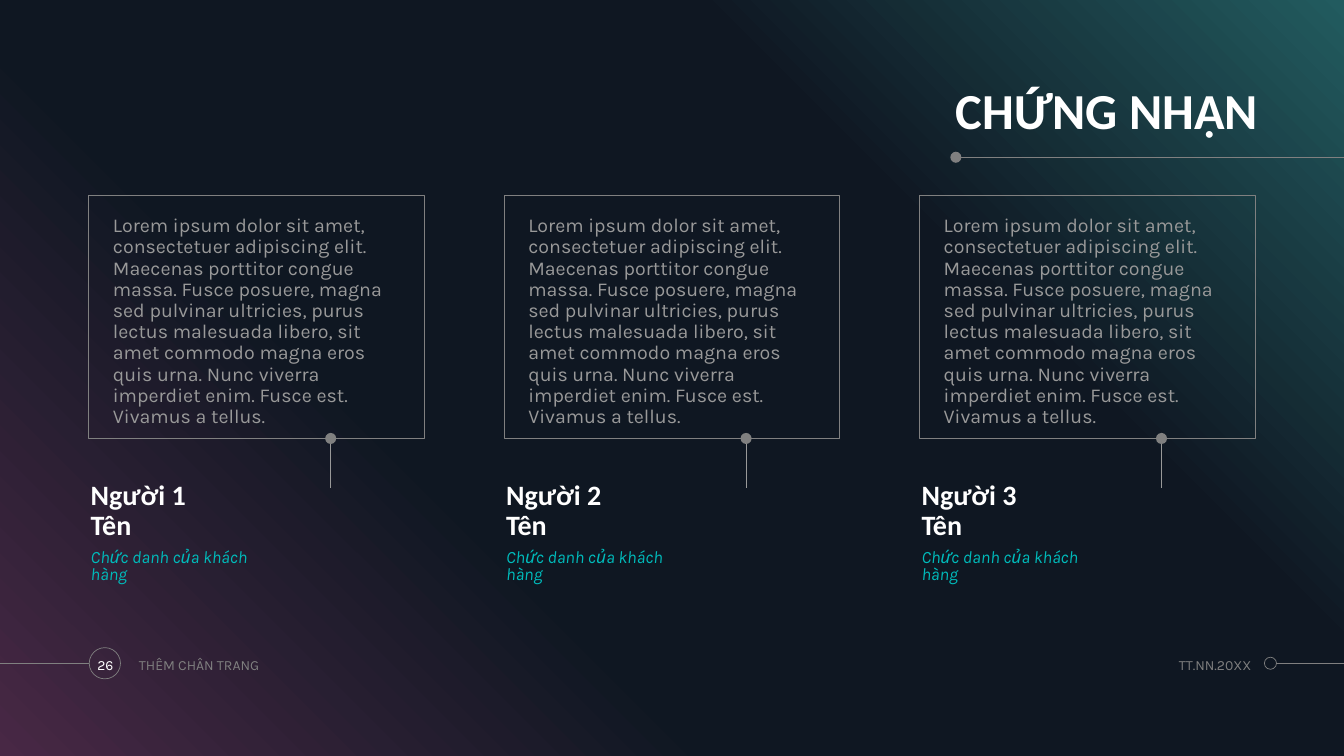
from dataclasses import dataclass, field

from lxml.etree import SubElement
from pptx import Presentation
from pptx.dml.color import RGBColor
from pptx.enum.shapes import MSO_CONNECTOR, MSO_SHAPE
from pptx.enum.text import MSO_ANCHOR, PP_ALIGN
from pptx.oxml.ns import qn
from pptx.util import Inches, Pt


@dataclass(frozen=True)
class Theme:
    white: str = "FFFFFF"
    gray: str = "808080"
    pale_gray: str = "999999"
    teal: str = "00BBBB"
    gradient: tuple = ((0, "482845"), (34, "0F1722"), (69, "0F1722"), (100, "225B5F"))
    heading_font: str = "Calibri"
    body_font: str = "Karla"
    title_size: float = 36
    name_size: float = 20
    quote_size: float = 14
    role_size: float = 12.4
    footer_size: float = 10
    hairline: float = 0.5
    frame_line: float = 0.75


THEME = Theme()


@dataclass(frozen=True)
class Area:
    left: float
    top: float
    width: float
    height: float

    def lengths(self) -> tuple:
        return tuple(map(Inches, (self.left, self.top, self.width, self.height)))


@dataclass(frozen=True)
class Style:
    size: float
    color: str
    name: str = THEME.body_font
    bold: bool = False
    italic: bool = False
    anchor: MSO_ANCHOR = MSO_ANCHOR.TOP
    margins: tuple = (0, 0)
    paragraph: dict = field(default_factory=dict)


@dataclass(frozen=True)
class Label:
    text: str
    area: Area
    style: Style


@dataclass(frozen=True)
class Rule:
    start: tuple
    end: tuple
    color: str = THEME.gray


@dataclass(frozen=True)
class Dot:
    center: tuple
    size: float
    filled: bool = True


TITLE = Style(THEME.title_size, THEME.white, THEME.heading_font, bold=True, anchor=MSO_ANCHOR.BOTTOM,
              paragraph={"alignment": PP_ALIGN.RIGHT, "line_spacing": 0.9})
QUOTE = Style(THEME.quote_size, THEME.pale_gray, margins=(0.24, 0.2), paragraph={"line_spacing": 0.9})
NAME = Style(THEME.name_size, THEME.white, THEME.heading_font, bold=True, anchor=MSO_ANCHOR.BOTTOM,
             paragraph={"line_spacing": 0.9})
ROLE = Style(THEME.role_size, THEME.teal, italic=True, paragraph={"line_spacing": 0.8})
NUMBER = Style(THEME.footer_size, THEME.white, anchor=MSO_ANCHOR.MIDDLE, margins=(0.1, 0.05),
               paragraph={"alignment": PP_ALIGN.CENTER})
FOOTER = Style(THEME.footer_size, THEME.gray, anchor=MSO_ANCHOR.MIDDLE, margins=(0.1, 0.05))
DATE = Style(THEME.footer_size, THEME.gray, anchor=MSO_ANCHOR.MIDDLE,
             paragraph={"alignment": PP_ALIGN.RIGHT})

QUOTE_TEXT = (
    "Lorem ipsum dolor sit amet, consectetuer adipiscing elit. Maecenas porttitor congue massa. "
    "Fusce posuere, magna sed pulvinar ultricies, purus lectus malesuada libero, sit amet commodo "
    "magna eros quis urna. Nunc viverra imperdiet enim. Fusce est. Vivamus a tellus."
)
PEOPLE = ("Người 1", "Người 2", "Người 3")
CARD_LEFT, CARD_PITCH = 0.88, 4.12

RULES = (
    Rule((13.33, 1.56), (9.5, 1.56)),
    Rule((12.66, 6.58), (13.33, 6.58)),
    Rule((0, 6.58), (0.88, 6.58)),
)
DOTS = (
    Dot((9.48, 1.56), 0.11),
    Dot((12.6, 6.58), 0.12, filled=False),
    Dot((1.04, 6.58), 0.31, filled=False),
)
LABELS = (
    Label("CHỨNG NHẬN", Area(5.58, 0.77, 6.9, 0.62), TITLE),
    Label("26", Area(0.85, 6.43, 0.39, 0.33), NUMBER),
    Label("THÊM CHÂN TRANG", Area(1.28, 6.43, 3.19, 0.33), FOOTER),
    Label("TT.NN.20XX", Area(10.95, 6.43, 1.46, 0.33), DATE),
)


def apply_format(target, values: dict) -> None:
    for name, value in values.items():
        setattr(target, name, value)


def write_text(shape, text: str, style: Style) -> None:
    frame = shape.text_frame
    side, edge = map(Inches, style.margins)
    apply_format(frame, {"word_wrap": True, "vertical_anchor": style.anchor, "margin_left": side,
                         "margin_right": side, "margin_top": edge, "margin_bottom": edge})
    para = frame.paragraphs[0]
    para.text = text
    apply_format(para, {"alignment": PP_ALIGN.LEFT, "space_before": Pt(0)} | style.paragraph)
    for span in para.runs:
        apply_format(span.font, {"name": style.name, "size": Pt(style.size),
                                 "bold": style.bold, "italic": style.italic})
        span.font.color.rgb = RGBColor.from_string(style.color)


def add_label(page, label: Label) -> None:
    write_text(page.shapes.add_textbox(*label.area.lengths()), label.text, label.style)


def add_plain_shape(page, kind: MSO_SHAPE, area: Area):
    shape = page.shapes.add_shape(kind, *area.lengths())
    shape.shadow.inherit = False
    shape.fill.background()
    shape.line.fill.background()
    return shape


def set_line(shape, color: str, width: float) -> None:
    shape.line.color.rgb = RGBColor.from_string(color)
    shape.line.width = Pt(width)


def add_backdrop(page) -> None:
    backdrop = add_plain_shape(page, MSO_SHAPE.RECTANGLE, Area(0, 0, 13.33, 7.5))
    backdrop.fill.gradient()
    backdrop.fill.gradient_angle = 45
    stops = backdrop.element.spPr.find(qn("a:gradFill")).find(qn("a:gsLst"))
    for stop in list(stops):
        stops.remove(stop)
    for position, color in THEME.gradient:
        stop = SubElement(stops, qn("a:gs"), pos=str(position * 1000))
        SubElement(stop, qn("a:srgbClr"), val=color)


def add_rule(page, rule: Rule) -> None:
    line = page.shapes.add_connector(MSO_CONNECTOR.STRAIGHT, *map(Inches, rule.start + rule.end))
    set_line(line, rule.color, THEME.hairline)
    SubElement(line.element.spPr, qn("a:effectLst"))


def add_dot(page, dot: Dot) -> None:
    x, y = dot.center
    area = Area(x - dot.size / 2, y - dot.size / 2, dot.size, dot.size)
    shape = add_plain_shape(page, MSO_SHAPE.OVAL, area)
    if dot.filled:
        shape.fill.solid()
        shape.fill.fore_color.rgb = RGBColor.from_string(THEME.gray)
    else:
        set_line(shape, THEME.gray, THEME.hairline)


def add_card(page, left: float, person: str) -> None:
    stem = left + 2.4
    add_rule(page, Rule((stem, 4.84), (stem, 4.36), THEME.pale_gray))
    add_dot(page, Dot((stem, 4.35), 0.11))
    frame = add_plain_shape(page, MSO_SHAPE.RECTANGLE, Area(left, 1.94, 3.33, 2.41))
    set_line(frame, THEME.gray, THEME.frame_line)
    write_text(frame, QUOTE_TEXT, QUOTE)
    add_label(page, Label(f"{person}\vTên", Area(left + 0.02, 4.58, 1.78, 0.79), NAME))
    add_label(page, Label("Chức danh của khách hàng", Area(left + 0.02, 5.46, 1.78, 0.36), ROLE))


def main() -> None:
    deck = Presentation()
    apply_format(deck, {"slide_width": Inches(13.33), "slide_height": Inches(7.5)})
    page = deck.slides.add_slide(deck.slide_layouts[6])
    add_backdrop(page)
    for rule in RULES:
        add_rule(page, rule)
    for dot in DOTS:
        add_dot(page, dot)
    for index, person in enumerate(PEOPLE):
        add_card(page, CARD_LEFT + index * CARD_PITCH, person)
    for label in LABELS:
        add_label(page, label)
    deck.save("out.pptx")


if __name__ == "__main__":
    main()
